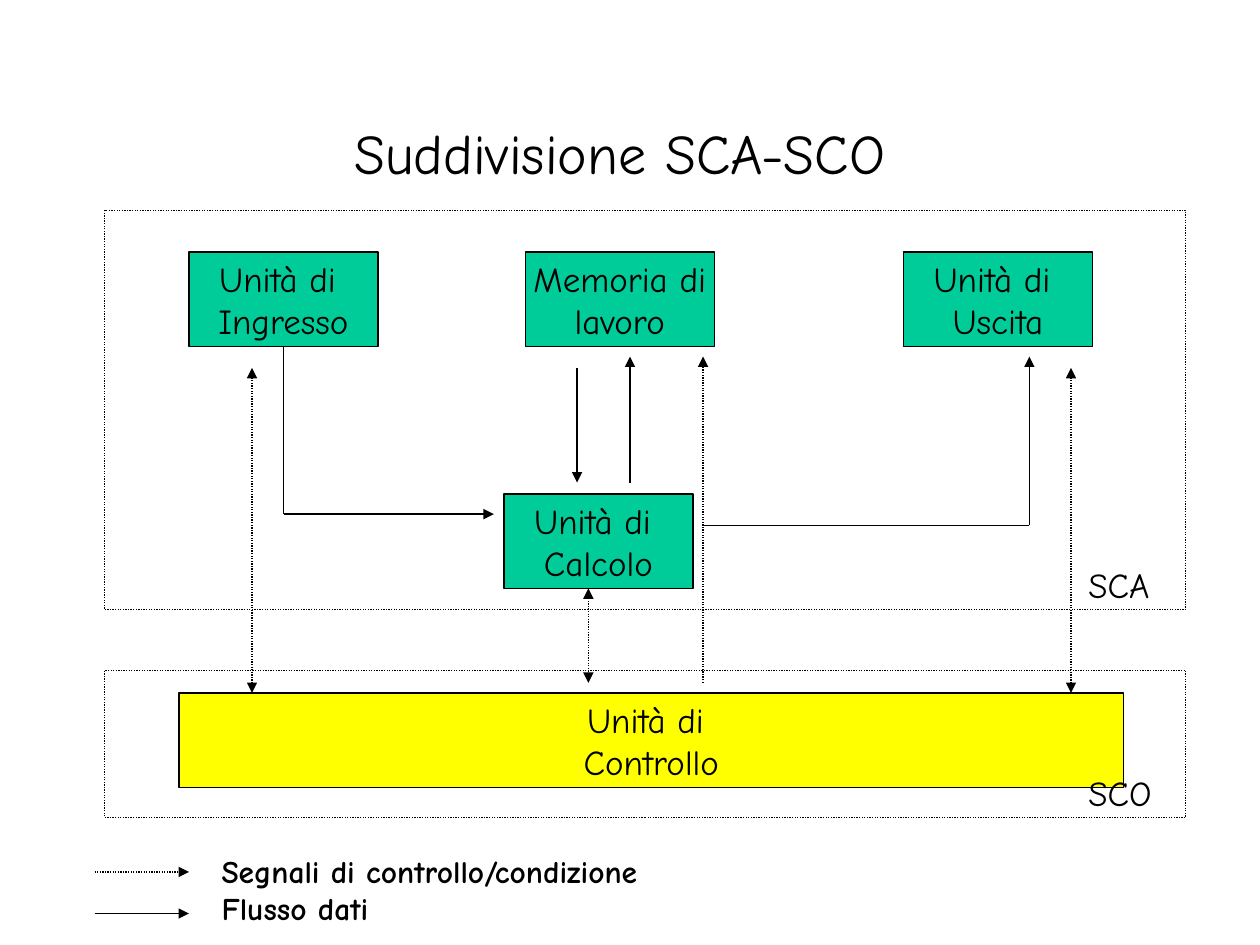
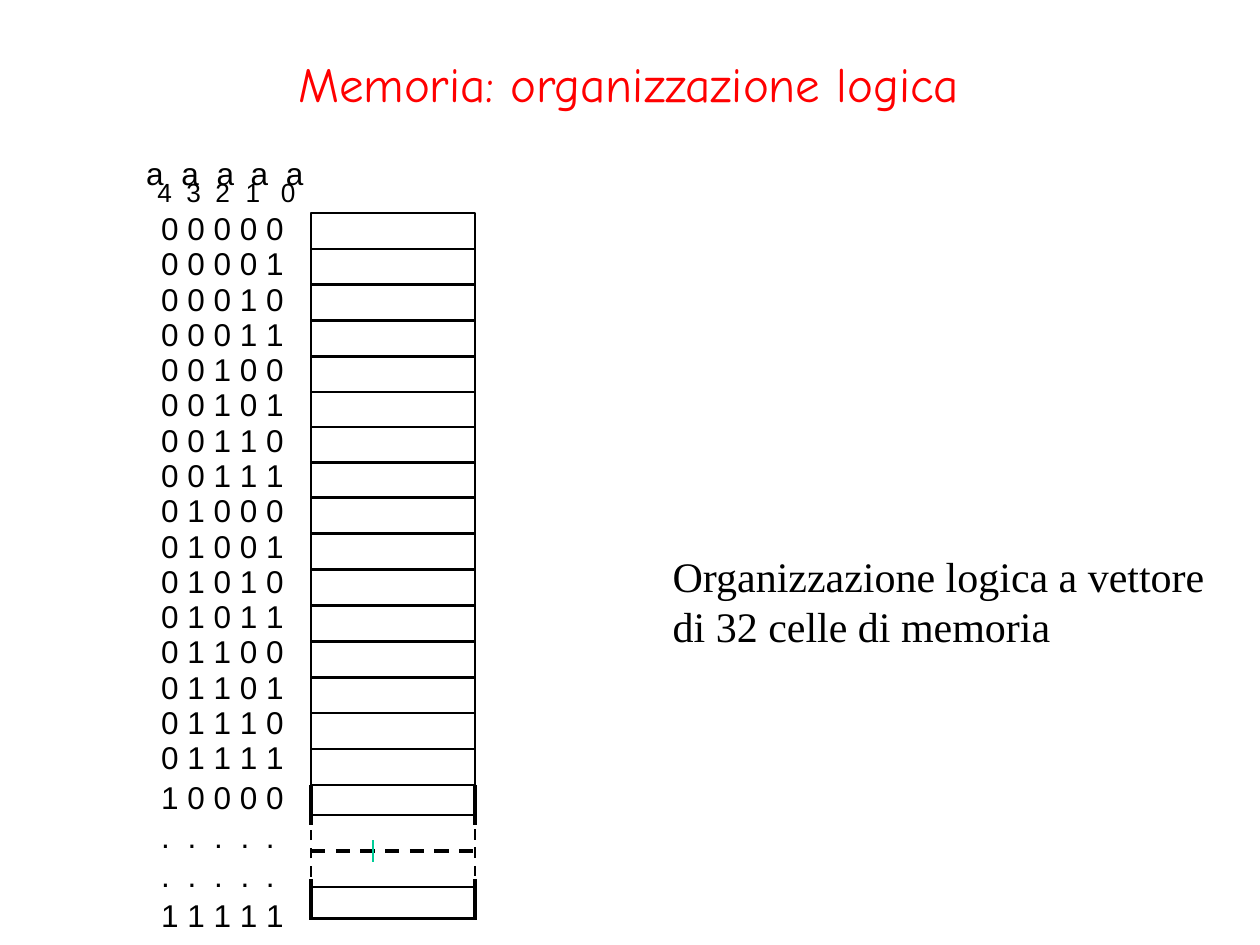
import pptx
import pptx.util
import pptx.dml.color
import pptx.enum.dml
import pptx.enum.shapes
import pptx.enum.text
import pptx.oxml.ns
import lxml.etree

Inches = pptx.util.Inches
Pt = pptx.util.Pt
ALIGN = pptx.enum.text.PP_ALIGN
ANCHOR = pptx.enum.text.MSO_ANCHOR
DOTTED = pptx.enum.dml.MSO_LINE.ROUND_DOT
DASHED = pptx.enum.dml.MSO_LINE.DASH

BLACK, WHITE, RED = "000000", "FFFFFF", "FF0000"
GREEN, YELLOW, TICK_GREEN = "00CC99", "FFFF00", "00CC98"
HAND, SANS, SERIF = "Comic Neue", "Arial", "Times New Roman"


def color(hex_code):
    return pptx.dml.color.RGBColor.from_string(hex_code)


def add_blank_slide(deck):
    return deck.slides.add_slide(deck.slide_layouts[6])


def style_line(line, width, dash=None, hex_code=BLACK):
    line.color.rgb = color(hex_code)
    line.width = Pt(width)
    if dash is not None:
        line.dash_style = dash


def write(frame, lines, size, font=HAND, hex_code=BLACK, align=ALIGN.LEFT,
          bold=False, tabs=(), gap=0):
    """Fill a text frame; tabs are stops in inches, gap is points between lines."""
    frame.text = "\n".join(lines)
    for number, paragraph in enumerate(frame.paragraphs):
        if tabs:
            tab_list = lxml.etree.SubElement(paragraph._p.get_or_add_pPr(),
                                             pptx.oxml.ns.qn("a:tabLst"))
            for stop in tabs:
                lxml.etree.SubElement(tab_list, pptx.oxml.ns.qn("a:tab"),
                                      pos=str(Inches(stop)), algn="l")
        paragraph.alignment = align
        paragraph.font.size = Pt(size)
        paragraph.font.name = font
        paragraph.font.bold = bold
        paragraph.font.color.rgb = color(hex_code)
        if number and gap:
            paragraph.space_before = Pt(gap)


def add_label(slide, box, lines, size, wrap=True, inset=True,
              anchor=ANCHOR.TOP, **style):
    frame = slide.shapes.add_textbox(*map(Inches, box)).text_frame
    frame.word_wrap = wrap
    frame.vertical_anchor = anchor
    if not inset:
        frame.margin_left = frame.margin_right = 0
        frame.margin_top = frame.margin_bottom = 0
    write(frame, lines, size, **style)


def add_title(slide, box, title, size, hex_code):
    add_label(slide, box, [title], size, anchor=ANCHOR.MIDDLE,
              align=ALIGN.CENTER, hex_code=hex_code)


def add_box(slide, box, fill=None, width=0.75, dash=None):
    rect = slide.shapes.add_shape(pptx.enum.shapes.MSO_SHAPE.RECTANGLE,
                                  *map(Inches, box))
    rect.shadow.inherit = False
    if fill:
        rect.fill.solid()
        rect.fill.fore_color.rgb = color(fill)
    else:
        rect.fill.background()
    style_line(rect.line, width, dash)
    return rect


def add_line(slide, start, end, width=0.75, dash=None, heads="", hex_code=BLACK):
    """heads: "" for none, "end" for one arrowhead, "both" for two."""
    line = slide.shapes.add_connector(pptx.enum.shapes.MSO_CONNECTOR.STRAIGHT,
                                      *map(Inches, (*start, *end)))
    style_line(line.line, width, dash, hex_code)
    ends = {"": (), "end": ("tailEnd",), "both": ("headEnd", "tailEnd")}[heads]
    for tag in ends:
        lxml.etree.SubElement(line.line._get_or_add_ln(),
                              pptx.oxml.ns.qn("a:" + tag), type="triangle")
    lxml.etree.SubElement(line._element.spPr, pptx.oxml.ns.qn("a:effectLst"))
    return line


# Slide 1: control unit and computing units

def add_unit(slide, box, lines, fill=GREEN):
    unit = add_box(slide, box, fill)
    unit.text_frame.word_wrap = False
    unit.text_frame.vertical_anchor = ANCHOR.MIDDLE
    write(unit.text_frame, lines, 20, align=ALIGN.CENTER)
    return unit


def draw_units(slide, left, top):
    """SCA and SCO areas with their units, from the top left corner of SCA."""
    def at(x, y):
        return left + x, top + y

    add_box(slide, (*at(0, 3.65), 8.58, 1.17), WHITE, dash=DOTTED)
    add_box(slide, (*at(0, 0), 8.58, 3.17), WHITE, dash=DOTTED)
    add_unit(slide, (*at(3.17, 2.25), 1.5, 0.75), ["Unità di ", "Calcolo"])
    add_unit(slide, (*at(0.59, 3.83), 7.5, 0.75), ["Unità di ", "Controllo"], YELLOW)
    add_unit(slide, (*at(3.34, 0.33), 1.5, 0.75), ["Memoria di", "lavoro"])
    input_unit = add_unit(slide, (*at(0.67, 0.33), 1.5, 0.75), ["Unità di ", "Ingresso"])
    add_unit(slide, (*at(6.34, 0.33), 1.5, 0.75), ["Unità di ", "Uscita"])
    for name, y in (("SCA", 2.75), ("SCO", 4.4)):
        add_label(slide, (*at(7.71, y), 0.7, 0.44), [name], 20, wrap=False)

    # Data flow
    from_input = add_line(slide, at(1.42, 1.08), at(1.42, 2.41))
    from_input.begin_connect(input_unit, 2)
    add_line(slide, at(4.75, 2.5), at(7.34, 2.5))
    for start, end in (((1.42, 2.41), (3.09, 2.41)),
                       ((7.34, 2.5), (7.34, 1.16)),
                       ((3.75, 1.25), (3.75, 2.16)),
                       ((4.17, 2.16), (4.17, 1.16))):
        add_line(slide, at(*start), at(*end), heads="end")

    # Control and condition signals
    for x, y_start, y_end, heads in ((1.17, 1.25, 3.83, "both"),
                                     (7.67, 1.25, 3.83, "both"),
                                     (3.84, 3, 3.75, "both"),
                                     (4.75, 3.75, 1.16, "end")):
        add_line(slide, at(x, y_start), at(x, y_end), dash=DOTTED, heads=heads)


def draw_legend(slide, left, top):
    for y, width, dash in ((0.21, 0.75, DOTTED), (0.54, 1, None)):
        add_line(slide, (left, top + y), (left + 0.75, top + y), width, dash, "end")
    add_label(slide, (left + 0.91, top, 3.62, 0.7),
              ["Segnali di controllo/condizione", "Flusso dati"], 18,
              wrap=False, bold=True)


def build_units_slide(deck):
    slide = add_blank_slide(deck)
    draw_units(slide, 0.83, 1.67)
    add_title(slide, (0.67, 0.58, 8.5, 1.25), "Suddivisione SCA-SCO", 32, BLACK)
    draw_legend(slide, 0.75, 6.71)


# Slide 2: memory as a vector of cells

def draw_cells(slide, box, count, rule_width=1.5, dash=None):
    """A block of equal cells; a rule at half height is joined to the block."""
    left, top, width, height = box
    block = add_box(slide, box, width=1.5, dash=dash)
    for number in range(1, count):
        y = top + height * number / count
        rule = add_line(slide, (left, y), (left + width, y), rule_width, dash)
        if 2 * number == count:
            rule.begin_connect(block, 1)
            rule.end_connect(block, 3)


def draw_memory(slide, left, top, width):
    # Cells 0 to 15, in four blocks
    block_tops = (0, 1.14, 2.26, 3.4, 4.54)
    for start, end in zip(block_tops, block_tops[1:]):
        draw_cells(slide, (left, top + start, width, end - start), 4)

    # Skipped cells, then the borders of cells 16 and 31
    draw_cells(slide, (left, top + 4.78, width, 0.57), 2, 2, DASHED)
    for y in (4.78, 5.35, 5.6):
        add_line(slide, (left, top + y), (left + width, top + y), 1.5)
    for x in (left, left + width):
        for y in (4.54, 5.29):
            add_line(slide, (x, top + y), (x, top + y + 0.32), 2.25)
    add_line(slide, (left + 0.49, top + 5.15), (left + 0.49, top + 4.98),
             hex_code=TICK_GREEN)


def draw_addresses(slide, left, top):
    def add_column(x, y, width, lines, size=18, **style):
        add_label(slide, (left + x, top + y, width, 0.3 * len(lines)), lines, size,
                  inset=False, font=SANS, **style)

    def bits(address):
        return " ".join(f"{address:05b}")

    # Heading: address bits with their indexes
    add_column(0, 0, 1.39, ["\t".join("aaaaa")], tabs=(0.28, 0.56, 0.83, 1.11))
    add_column(0.09, 0.18, 1.1, ["\t".join("43210")], 15, tabs=(0.23, 0.46, 0.7, 0.98))

    # One label per cell, then the closing rows together
    row_height, first_row = 0.28, 0.44
    for address in range(15):
        add_column(0.12, first_row + row_height * address, 1.04, [bits(address)])
    dots = "\t".join("." * 5)
    add_column(0.12, first_row + row_height * 15, 1.04,
               [bits(15), bits(16), dots, dots, bits(31)],
               tabs=(0.21, 0.42, 0.63, 0.83), gap=0.9)


def build_memory_slide(deck):
    slide = add_blank_slide(deck)
    add_title(slide, (0.74, 0.03, 8.5, 1.25), "Memoria: organizzazione logica", 28, RED)
    add_label(slide, (5.24, 4.32, 4.47, 0.9),
              ["Organizzazione logica a vettore di 32 celle di memoria"], 24, font=SERIF)
    draw_memory(slide, 2.47, 1.69, 1.3)
    draw_addresses(slide, 1.16, 1.22)


def main():
    deck = pptx.Presentation()
    deck.slide_width, deck.slide_height = Inches(10), Inches(7.5)
    build_units_slide(deck)
    build_memory_slide(deck)
    deck.save("out.pptx")


if __name__ == "__main__":
    main()
